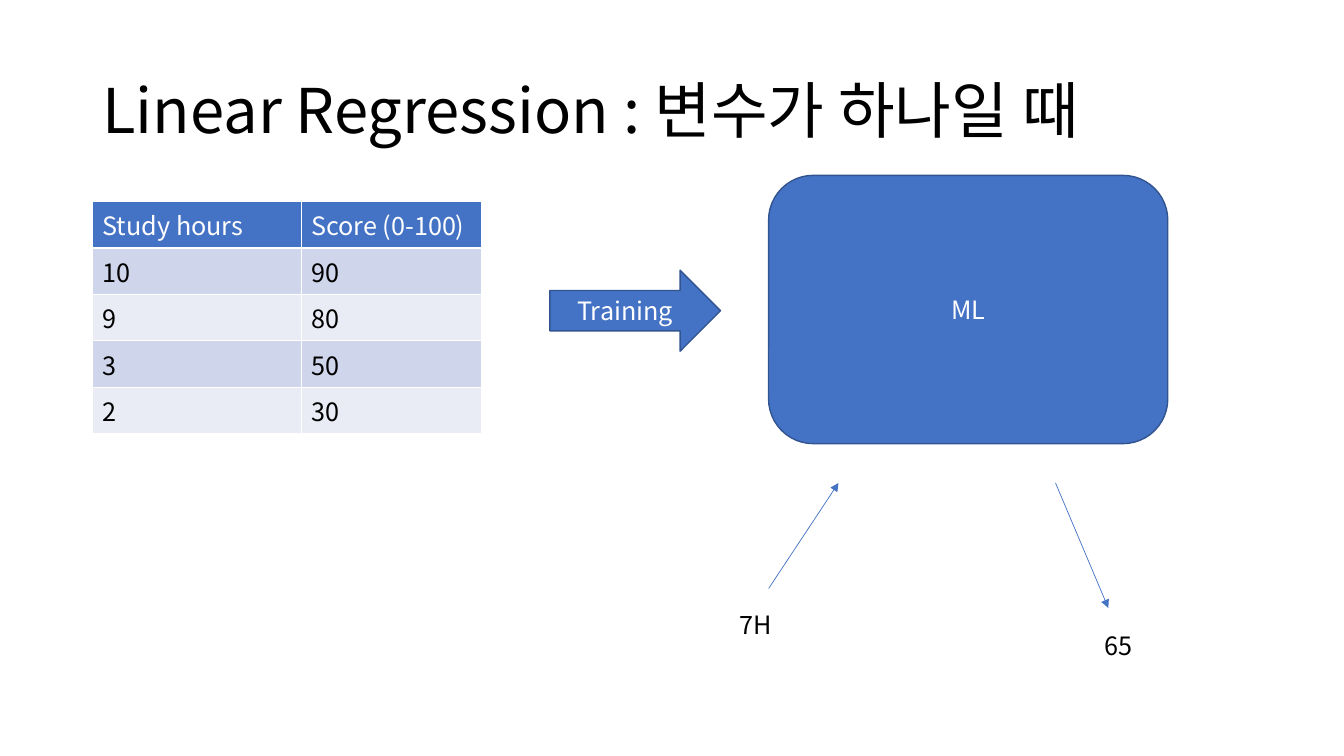
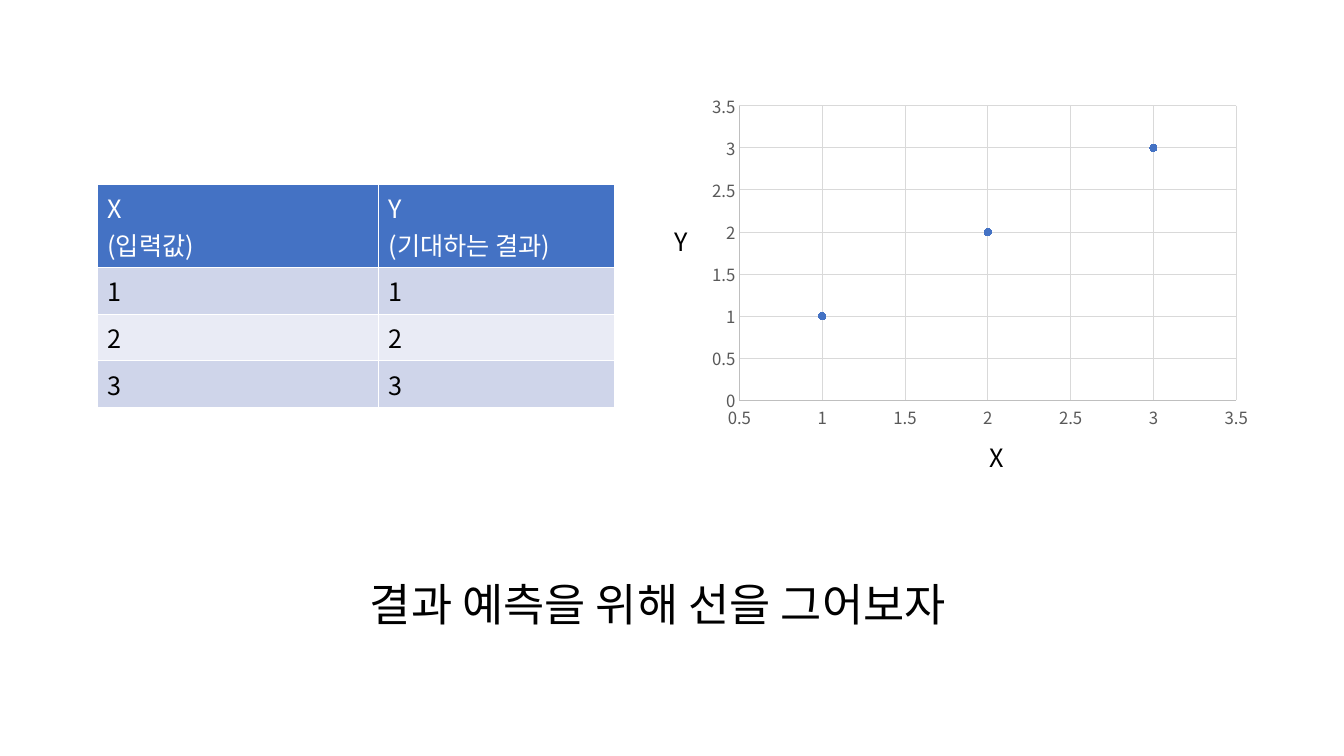
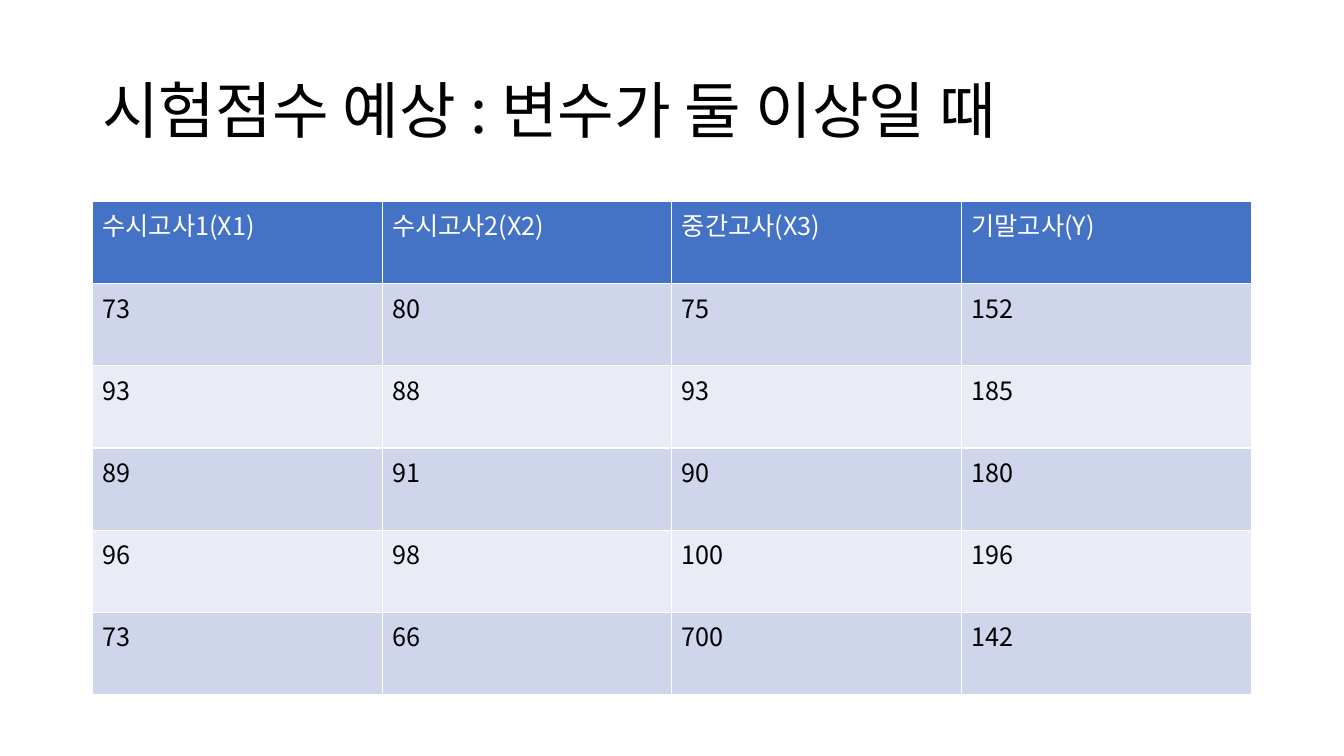
from lxml import etree
from pptx import Presentation
from pptx.chart.data import XyChartData
from pptx.dml.color import RGBColor
from pptx.enum.chart import XL_CHART_TYPE, XL_MARKER_STYLE, XL_TICK_MARK
from pptx.enum.shapes import MSO_CONNECTOR, MSO_SHAPE
from pptx.enum.text import MSO_ANCHOR, MSO_AUTO_SIZE, PP_ALIGN
from pptx.oxml import parse_xml
from pptx.oxml.ns import nsdecls, qn
from pptx.util import Cm, Pt

ARROW = MSO_SHAPE.RIGHT_ARROW
ROUNDED = MSO_SHAPE.ROUNDED_RECTANGLE
STRAIGHT = MSO_CONNECTOR.STRAIGHT
SCATTER = XL_CHART_TYPE.XY_SCATTER
CIRCLE = XL_MARKER_STYLE.CIRCLE
NO_TICK = XL_TICK_MARK.NONE
MIDDLE = MSO_ANCHOR.MIDDLE
CENTER = PP_ALIGN.CENTER
GROW = MSO_AUTO_SIZE.SHAPE_TO_FIT_TEXT

FONT = "Noto Sans CJK KR"
BLACK, WHITE = "000000", "FFFFFF"
BLUE, DARK_BLUE = "4472C4", "325491"
BANDS = ("E9EBF5", "CFD5EA")
TICK_TEXT, AXIS_GRAY, GRID_GRAY = "595959", "BFBFBF", "D9D9D9"
MARGIN = 2.33
TABLE_TOP = 5.08
ROW = 1.17

TITLE_FRAME = {"word_wrap": True, "vertical_anchor": MIDDLE}
LABEL_FRAME = {"word_wrap": False, "auto_size": GROW}
AXIS = {"major_tick_mark": NO_TICK, "minor_tick_mark": NO_TICK,
        "has_major_gridlines": True, "major_unit": 0.5, "maximum_scale": 3.5}
PLOT = {"x": 0.07, "y": 0.055, "w": 0.89, "h": 0.84}


def rgb(value):
    return RGBColor.from_string(value)


def apply(obj, values):
    for name, value in values.items():
        setattr(obj, name, value)


def paint_line(line, color, width):
    line.color.rgb = rgb(color)
    line.width = Pt(width)


def write(tf, text, size=18, color=BLACK, **paragraph):
    tf.text = text
    for p in tf.paragraphs:
        apply(p, paragraph)
        for r in p.runs:
            apply(r.font, {"name": FONT, "size": Pt(size), "bold": False})
            r.font.color.rgb = rgb(color)
            etree.SubElement(r._r.get_or_add_rPr(), qn("a:ea"), typeface=FONT)


def add_text(s, text, box, frame, size=18, **paragraph):
    tf = s.shapes.add_textbox(*map(Cm, box)).text_frame
    apply(tf, frame)
    write(tf, text, size, **paragraph)


def add_title(s, text):
    add_text(s, text, (MARGIN, 1.01, 29.21, 3.68), TITLE_FRAME, 44, line_spacing=0.9)


def add_label(s, text, left, top, width, height=1.02, size=18):
    add_text(s, text, (left, top, width, height), LABEL_FRAME, size)


def add_block(s, kind, text, *box):
    sp = s.shapes.add_shape(kind, *map(Cm, box))
    sp.shadow.inherit = False
    sp.fill.solid()
    sp.fill.fore_color.rgb = rgb(BLUE)
    paint_line(sp.line, DARK_BLUE, 1)
    sp.text_frame.vertical_anchor = MIDDLE
    write(sp.text_frame, text, color=WHITE, alignment=CENTER)


def add_arrow(s, *ends):
    line = s.shapes.add_connector(STRAIGHT, *map(Cm, ends))
    paint_line(line.line, BLUE, 0.5)
    etree.SubElement(line.line._get_or_add_ln(), qn("a:tailEnd"), type="triangle")
    etree.SubElement(line._element.spPr, qn("a:effectLst"))


def add_data_table(s, left, top, widths, heights, rows):
    table = s.shapes.add_table(len(rows), len(widths), Cm(left), Cm(top),
                               Cm(sum(widths)), Cm(sum(heights))).table
    for column, width in zip(table.columns, widths):
        column.width = Cm(width)
    for i, (row, height, values) in enumerate(zip(table.rows, heights, rows)):
        row.height = Cm(height)
        for cell, value in zip(row.cells, values):
            cell.fill.solid()
            cell.fill.fore_color.rgb = rgb(BANDS[i % 2] if i else BLUE)
            write(cell.text_frame, str(value), color=BLACK if i else WHITE)


def add_scatter(s, points, *box):
    data = XyChartData()
    series = data.add_series("Series 1")
    for x, y in points:
        series.add_data_point(x, y)
    chart = s.shapes.add_chart(SCATTER, *map(Cm, box), data).chart
    apply(chart, {"has_title": False, "has_legend": False})
    apply(chart.font, {"name": FONT, "size": Pt(10)})
    chart.font.color.rgb = rgb(BLACK)
    chart.plots[0].vary_by_categories = False
    for axis, low in ((chart.category_axis, 0.5), (chart.value_axis, 0)):
        apply(axis, {**AXIS, "minimum_scale": low})
        font = axis.tick_labels.font
        apply(font, {"name": FONT, "size": Pt(12)})
        font.color.rgb = rgb(TICK_TEXT)
        paint_line(axis.format.line, AXIS_GRAY, 0.75)
        paint_line(axis.major_gridlines.format.line, GRID_GRAY, 0.75)
    dots = chart.plots[0].series[0]
    dots.smooth = False
    dots.format.line.fill.background()
    apply(dots.marker, {"style": CIRCLE, "size": 5})
    dots.marker.format.fill.solid()
    dots.marker.format.fill.fore_color.rgb = rgb(BLUE)
    paint_line(dots.marker.format.line, BLUE, 0.75)
    place_plot(chart)


def place_plot(chart):
    area = chart._chartSpace.chart.plotArea
    for old in area.findall(qn("c:layout")):
        area.remove(old)
    layout = parse_xml(f"<c:layout {nsdecls('c')}><c:manualLayout/></c:layout>")
    values = {"layoutTarget": "inner", "xMode": "edge", "yMode": "edge", **PLOT}
    for name, value in values.items():
        etree.SubElement(layout[0], qn(f"c:{name}"), val=str(value))
    area.insert(0, layout)


def one_variable(s):
    add_title(s, "Linear Regression : 변수가 하나일 때")
    rows = [("Study hours", "Score (0-100)"), (10, 90), (9, 80), (3, 50), (2, 30)]
    add_data_table(s, MARGIN, TABLE_TOP, (5.26, 4.55), [ROW] * len(rows), rows)
    add_block(s, ARROW, "Training", 13.86, 6.81, 4.3, 2.04)
    add_block(s, ROUNDED, "ML", 19.37, 4.42, 10.06, 6.76)
    add_arrow(s, 19.37, 14.83, 21.13, 12.17)
    add_label(s, "7H", 18.39, 15.23, 1.32)
    add_arrow(s, 26.6, 12.17, 27.93, 15.32)
    add_label(s, "65", 27.58, 15.75, 1.22)


def draw_a_line(s):
    points = [(1, 1), (2, 2), (3, 3)]
    rows = [("X\n(입력값)", "Y\n(기대하는 결과)"), *points]
    add_data_table(s, 2.45, 4.65, (7.09, 5.96), [2.09] + [ROW] * len(points), rows)
    add_scatter(s, points, 17.65, 2.18, 14.07, 8.84)
    add_label(s, "Y", 16.76, 5.59, 0.86)
    add_label(s, "X", 24.69, 11.02, 0.89)
    add_label(s, "결과 예측을 위해 선을 그어보자", 9.07, 14.4, 17.2, 1.62, 32)


def many_variables(s):
    add_title(s, "시험점수 예상 : 변수가 둘 이상일 때")
    rows = [
        ("수시고사1(X1)", "수시고사2(X2)", "중간고사(X3)", "기말고사(Y)"),
        (73, 80, 75, 152),
        (93, 88, 93, 185),
        (89, 91, 90, 180),
        (96, 98, 100, 196),
        (73, 66, 700, 142),
    ]
    add_data_table(s, MARGIN, TABLE_TOP, [7.3] * 4, [2.07] * len(rows), rows)


def main():
    prs = Presentation()
    apply(prs, {"slide_width": Cm(33.87), "slide_height": Cm(19.05)})
    for build in (one_variable, draw_a_line, many_variables):
        build(prs.slides.add_slide(prs.slide_layouts[6]))
    prs.save("out.pptx")


if __name__ == "__main__":
    main()
